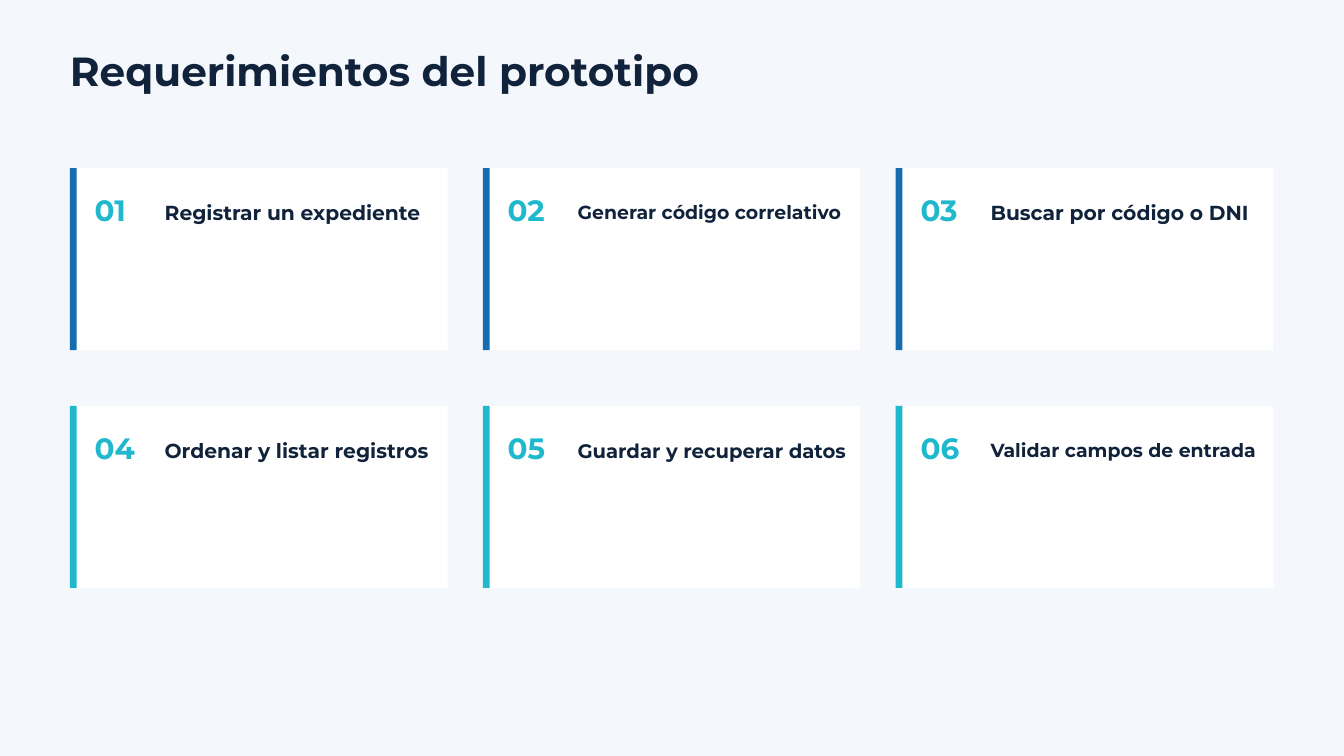
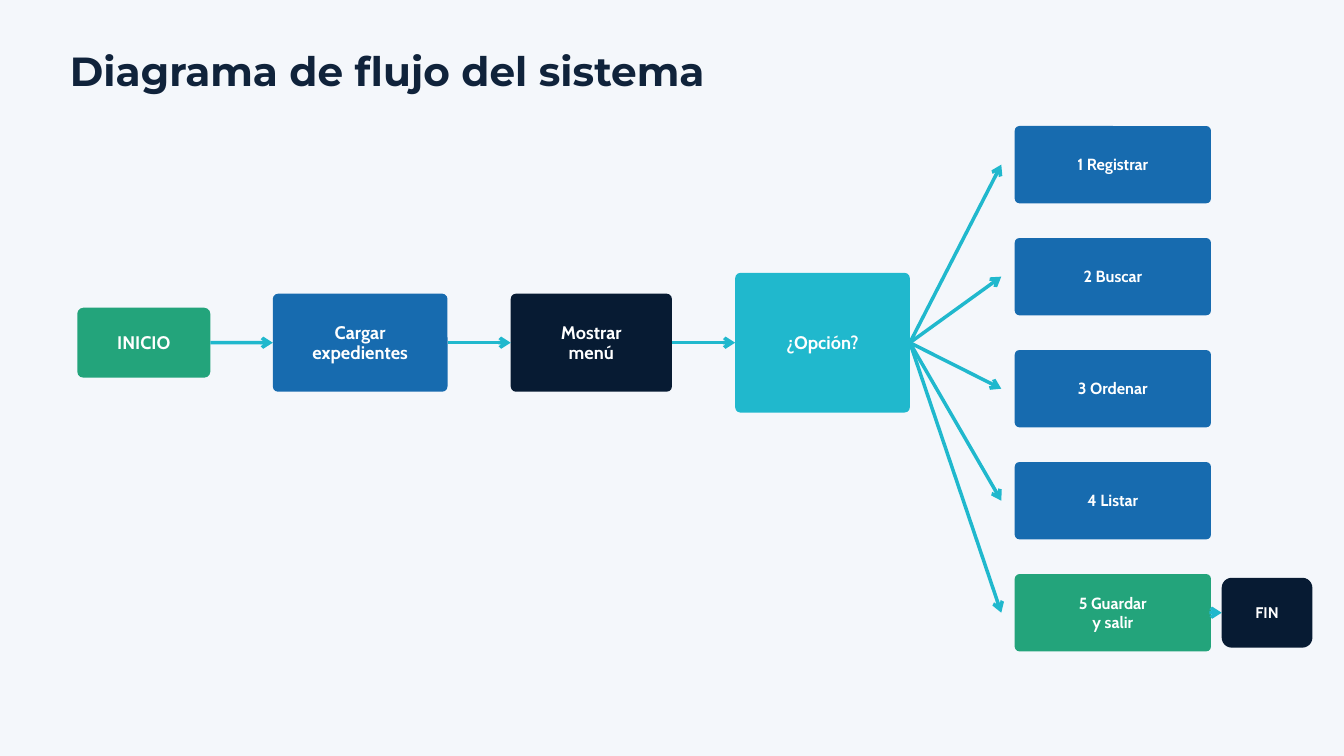
"""Build two slides: the prototype requirements and the system flow diagram."""
from lxml import etree
from pptx import Presentation
from pptx.dml.color import RGBColor
from pptx.enum.shapes import MSO_CONNECTOR, MSO_SHAPE
from pptx.enum.text import MSO_ANCHOR, MSO_AUTO_SIZE, PP_ALIGN
from pptx.oxml.ns import qn
from pptx.util import Inches, Pt

COLORS = {
    "background": "F4F7FB",
    "ink": "10233B",
    "white": "FFFFFF",
    "blue": "176BAF",
    "cyan": "20B8CD",
    "green": "23A47B",
    "navy": "071B33",
}
HEADING_FONT, NODE_FONT = "Montserrat", "Cabin"
LEFT, RIGHT = 1, 3


def add_heading(slide, text, left, top, width, height, size, color="ink"):
    box = slide.shapes.add_textbox(Inches(left), Inches(top), Inches(width), Inches(height))
    frame = box.text_frame
    frame.margin_left = frame.margin_right = frame.margin_top = frame.margin_bottom = 0
    frame.word_wrap = True
    frame.auto_size = MSO_AUTO_SIZE.SHAPE_TO_FIT_TEXT
    paragraph = frame.paragraphs[0]
    paragraph.line_spacing = Pt(size * 1.05)
    run = paragraph.add_run()
    run.text = text
    run.font.name, run.font.size, run.font.bold = HEADING_FONT, Pt(size), True
    run.font.color.rgb = RGBColor.from_string(COLORS[color])


def add_arrow(slide, source, target, end_x, end_y):
    arrow = slide.shapes.add_connector(
        MSO_CONNECTOR.STRAIGHT, source.left + source.width, source.top + source.height // 2,
        Inches(end_x), Inches(end_y))
    arrow.begin_connect(source, RIGHT)
    if target is not None:
        arrow.end_connect(target, LEFT)
    arrow.line.width = Pt(3.75)
    arrow.line.color.rgb = RGBColor.from_string(COLORS["cyan"])
    etree.SubElement(arrow.line._get_or_add_ln(), qn("a:tailEnd"), type="arrow")
    etree.SubElement(arrow._element.spPr, qn("a:effectLst"))


presentation = Presentation()
presentation.slide_width, presentation.slide_height = Inches(20), Inches(11.25)

slides = []
for title in ["Requerimientos del prototipo", "Diagrama de flujo del sistema"]:
    slide = presentation.slides.add_slide(presentation.slide_layouts[6])
    slide.background.fill.solid()
    slide.background.fill.fore_color.rgb = RGBColor.from_string(COLORS["background"])
    add_heading(slide, title, 1.04, 0.78, 15.62, 0.64, 43.5)
    slides.append(slide)
requirements_slide, flow_slide = slides

requirements = [
    ("Registrar un expediente", 21.75),
    ("Generar código correlativo", 20.25),
    ("Buscar por código o DNI", 21.75),
    ("Ordenar y listar registros", 21.75),
    ("Guardar y recuperar datos", 21),
    ("Validar campos de entrada", 20.25),
]
for index, (requirement, size) in enumerate(requirements):
    row, column = divmod(index, 3)
    left, top = 1.04 + 6.145 * column, 2.5 + 3.54 * row
    accent = ["blue", "cyan"][row]
    for width, color in [(5.62, "white"), (0.1, accent)]:
        panel = requirements_slide.shapes.add_shape(
            MSO_SHAPE.RECTANGLE, Inches(left), Inches(top), Inches(width), Inches(2.71))
        panel.shadow.inherit = False
        panel.fill.solid()
        panel.fill.fore_color.rgb = RGBColor.from_string(COLORS[color])
        panel.line.fill.background()
    add_heading(requirements_slide, f"{index + 1:02}", left + 0.37, top + 0.43,
                0.94, 0.49, 31.5, "cyan")
    add_heading(requirements_slide, requirement, left + 1.41, top + 0.53, 4.06, 0.33, size)

FLOW_Y = 5.1
OPTION_LEFT, OPTION_Y, OPTION_STEP = 15.1, 2.45, 1.667
END_Y = OPTION_Y + 4 * OPTION_STEP

nodes = [
    (["INICIO"], 1.15, FLOW_Y, 1.98, 1.04, "green", 0.09, 19.5),
    (["Cargar", "expedientes"], 4.06, FLOW_Y, 2.6, 1.46, "blue", 0.08, 19.5),
    (["Mostrar", "menú"], 7.6, FLOW_Y, 2.4, 1.46, "navy", 0.08, 19.5),
    (["¿Opción?"], 10.94, FLOW_Y, 2.6, 2.08, "cyan", 0.08, 19.5),
]
options = [["1 Registrar"], ["2 Buscar"], ["3 Ordenar"], ["4 Listar"], ["5 Guardar", "y salir"]]
for index, lines in enumerate(options):
    color = "green" if index == len(options) - 1 else "blue"
    nodes.append((lines, OPTION_LEFT, OPTION_Y + OPTION_STEP * index, 2.92, 1.15,
                  color, 0.07, 17.25))
nodes.append((["FIN"], 18.18, END_Y, 1.35, 1.04, "navy", 0.15, 16.5))

steps = []
for lines, left, middle, width, height, color, radius, size in nodes:
    step = flow_slide.shapes.add_shape(
        MSO_SHAPE.ROUNDED_RECTANGLE, Inches(left), Inches(middle - height / 2),
        Inches(width), Inches(height))
    step.adjustments[0] = radius / height
    step.shadow.inherit = False
    step.fill.solid()
    step.fill.fore_color.rgb = RGBColor.from_string(COLORS[color])
    step.line.fill.background()
    frame = step.text_frame
    frame.margin_left = frame.margin_right = Inches(0.06)
    frame.margin_top = frame.margin_bottom = Inches(0.06)
    frame.word_wrap = True
    frame.vertical_anchor = MSO_ANCHOR.MIDDLE
    for number, line in enumerate(lines):
        paragraph = frame.add_paragraph() if number else frame.paragraphs[0]
        paragraph.alignment = PP_ALIGN.CENTER
        paragraph.line_spacing = Pt(size * 1.15)
        run = paragraph.add_run()
        run.text = line
        run.font.name, run.font.size, run.font.bold = NODE_FONT, Pt(size), True
        run.font.color.rgb = RGBColor.from_string(COLORS["white"])
    steps.append(step)

start, load, menu, choice, *choices, finish = steps
for source, target in [(start, load), (load, menu), (menu, choice), (choices[-1], finish)]:
    add_arrow(flow_slide, source, target, target.left.inches, FLOW_Y)
for index in range(len(choices)):
    add_arrow(flow_slide, choice, None, OPTION_LEFT - 0.2, OPTION_Y + OPTION_STEP * index)

presentation.save("out.pptx")
